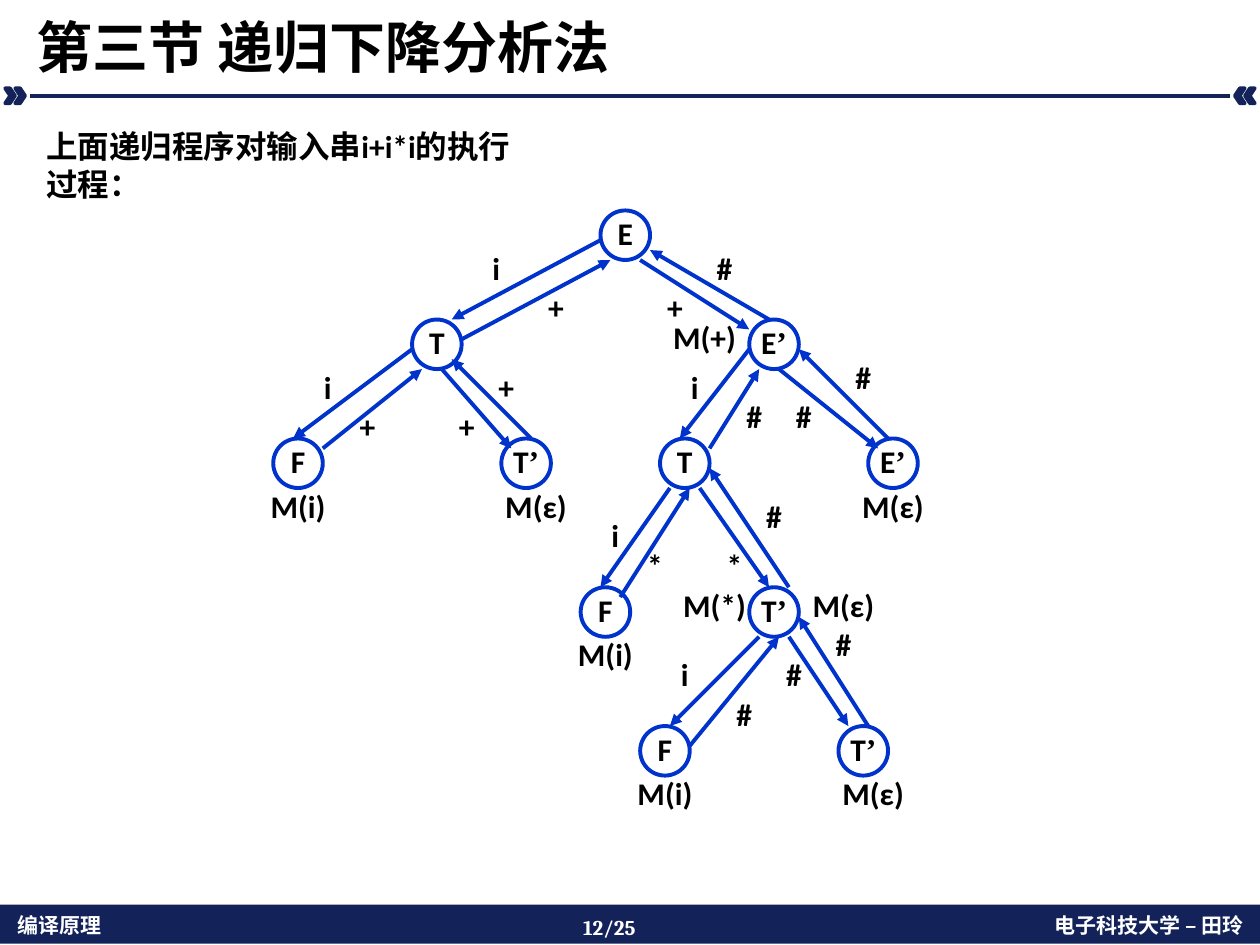
import pptx
import pptx.util
from lxml import etree
from pptx.dml.color import RGBColor
from pptx.enum.shapes import MSO_CONNECTOR, MSO_SHAPE
from pptx.enum.text import MSO_ANCHOR, PP_ALIGN
from pptx.oxml.ns import qn
from pptx.util import Inches, Pt

NAVY = RGBColor(0x13, 0x22, 0x59)
BLUE = RGBColor(0x00, 0x33, 0xCC)
BLACK = RGBColor(0, 0, 0)
WHITE = RGBColor(255, 255, 255)
LATIN, CJK, PRIME, SERIF = "Calibri", "Noto Sans CJK SC", "Times New Roman", "Cambria"

# Tree grid: left and top edge, and the size of one cell, in inches
LEFT, TOP, CELL = 2.09, 1.67, 0.0787
NODE, LABEL_W, CAPTION_W, LABEL_H = 5, 5, 7, 4

# text, column, row
NODES = [
    ("E", 34, 0), ("T", 15, 11), ("E’", 49, 11),
    ("F", 1, 23), ("T’", 24, 23), ("T", 40, 23), ("E’", 61, 23),
    ("F", 32, 38), ("T’", 49, 38), ("F", 38, 52), ("T’", 58, 52),
]
CAPTIONS = [
    ("M(+)", 41, 11), ("M(i)", 0, 28), ("M(ε)", 24, 28), ("M(ε)", 60, 28),
    ("M(*)", 42, 38), ("M(ε)", 55, 38), ("M(i)", 31, 43),
    ("M(i)", 37, 57), ("M(ε)", 58, 57),
]
# symbol, label cell, start cell, end cell
CALLS = [
    ("i", (21, 4), (34, 3), (19, 11)),
    ("i", (4, 16), (15, 14), (3, 23)),
    ("+", (8, 20), (6, 24), (16, 16)),
    ("+", (18, 20), (18, 16), (25, 24)),
    ("+", (22, 16), (27, 23), (19, 15)),
    ("+", (27, 8), (20, 13), (35, 5)),
    ("+", (39, 8), (38, 5), (49, 12)),
    ("i", (41, 16), (49, 14), (42, 23)),
    ("i", (33, 31), (41, 28), (34, 38)),
    ("*", (37, 34), (36, 39), (43, 28)),
    ("*", (45, 34), (44, 28), (51, 38)),
    ("i", (40, 45), (50, 43), (41, 52)),
    ("#", (46, 49), (43, 54), (52, 43)),
    ("#", (51, 45), (53, 43), (59, 52)),
    ("#", (56, 42), (61, 52), (54, 41)),
    ("#", (49, 29), (53, 38), (45, 26)),
    ("#", (47, 19), (45, 24), (50, 16)),
    ("#", (52, 19), (52, 16), (62, 24)),
    ("#", (58, 15), (63, 23), (54, 14)),
    ("#", (44, 4), (51, 11), (39, 4)),
]


def grid(col, row):
    """Turn a grid cell into a slide position."""
    return Inches(LEFT + col * CELL), Inches(TOP + row * CELL)


def span(cells):
    return Inches(cells * CELL)


def add_run(p, text, size, color=BLACK, font=LATIN):
    r = p.add_run()
    r.text = text
    r.font.size = Pt(size)
    r.font.bold = True
    r.font.name = font
    r.font.color.rgb = color
    ea = etree.Element(qn("a:ea"), typeface=CJK)
    r.font._element.find(qn("a:latin")).addnext(ea)


def add_text(s, box, text, size, color=BLACK, font=LATIN,
             align=PP_ALIGN.LEFT, anchor=MSO_ANCHOR.TOP, spacing=1.0):
    tf = s.shapes.add_textbox(*map(Inches, box)).text_frame
    tf.word_wrap = True
    tf.vertical_anchor = anchor
    p = tf.paragraphs[0]
    p.alignment = align
    p.line_spacing = spacing
    add_run(p, text, size, color, font)


def fill_symbol(sp, text):
    """Centre a tree symbol in its shape; a prime mark has its own font."""
    tf = sp.text_frame
    tf.word_wrap = False
    tf.margin_left = tf.margin_right = 0
    tf.vertical_anchor = MSO_ANCHOR.MIDDLE
    p = tf.paragraphs[0]
    p.alignment = PP_ALIGN.CENTER
    p.line_spacing = 0.9
    add_run(p, text.rstrip("’"), 18)
    if text.endswith("’"):
        add_run(p, "’", 18, font=PRIME)


def add_node(s, text, col, row):
    sp = s.shapes.add_shape(MSO_SHAPE.OVAL, *grid(col, row), span(NODE), span(NODE))
    sp.shadow.inherit = False
    sp.fill.background()
    sp.line.color.rgb = BLUE
    sp.line.width = Pt(2.25)
    fill_symbol(sp, text)


def add_label(s, text, col, row, width):
    sp = s.shapes.add_textbox(*grid(col, row), span(width), span(LABEL_H))
    fill_symbol(sp, text)


def add_line(s, start, end, color, width, arrow=False):
    line = s.shapes.add_connector(MSO_CONNECTOR.STRAIGHT, *start, *end)
    line.line.color.rgb = color
    line.line.width = Pt(width)
    if arrow:
        etree.SubElement(line.line._get_or_add_ln(), qn("a:tailEnd"), type="triangle")
    etree.SubElement(line._element.spPr, qn("a:effectLst"))


def add_solid(s, kind, box):
    sp = s.shapes.add_shape(kind, *map(Inches, box))
    sp.shadow.inherit = False
    sp.fill.solid()
    sp.fill.fore_color.rgb = NAVY
    sp.line.fill.background()
    return sp


def add_chevron(s, x, flip):
    sp = add_solid(s, MSO_SHAPE.CHEVRON, (x, 0.7, 0.08, 0.12))
    sp.line.color.rgb = NAVY
    sp.line.width = Pt(2)
    if flip:
        sp._element.spPr.find(qn("a:xfrm")).set("flipH", "1")


def add_frame(s):
    """Heading rule with chevrons, and the footer band."""
    add_solid(s, MSO_SHAPE.RECTANGLE, (0, 7.18, 10, 0.31))
    add_text(s, (0.04, 7.19, 2.94, 0.3), "编译原理", 12, WHITE)
    add_text(s, (6.98, 7.19, 2.99, 0.3), "电子科技大学 – 田玲", 12, WHITE,
             align=PP_ALIGN.RIGHT)
    add_text(s, (4.53, 7.21, 0.94, 0.3), "12/25", 12, WHITE, SERIF)
    for x in (0.04, 0.12, 9.8, 9.88):
        add_chevron(s, x, flip=x > 5)
    add_line(s, (Inches(0.24), Inches(0.76)), (Inches(9.76), Inches(0.76)), NAVY, 2)


def main():
    prs = pptx.Presentation()
    prs.slide_width, prs.slide_height = Inches(10), Inches(7.5)
    s = prs.slides.add_slide(prs.slide_layouts[6])
    add_frame(s)
    add_text(s, (0.19, 0.05, 9.61, 0.64), "第三节 递归下降分析法", 32,
             font=CJK, anchor=MSO_ANCHOR.BOTTOM, spacing=0.9)
    add_text(s, (0.27, 0.96, 4.1, 0.79), "上面递归程序对输入串i+i*i的执行过程：", 18)
    for node in NODES:
        add_node(s, *node)
    for symbol, label, start, end in CALLS:
        add_line(s, grid(*start), grid(*end), BLUE, 2.25, arrow=True)
        add_label(s, symbol, *label, LABEL_W)
    for caption in CAPTIONS:
        add_label(s, *caption, CAPTION_W)
    prs.save("out.pptx")


if __name__ == "__main__":
    main()
